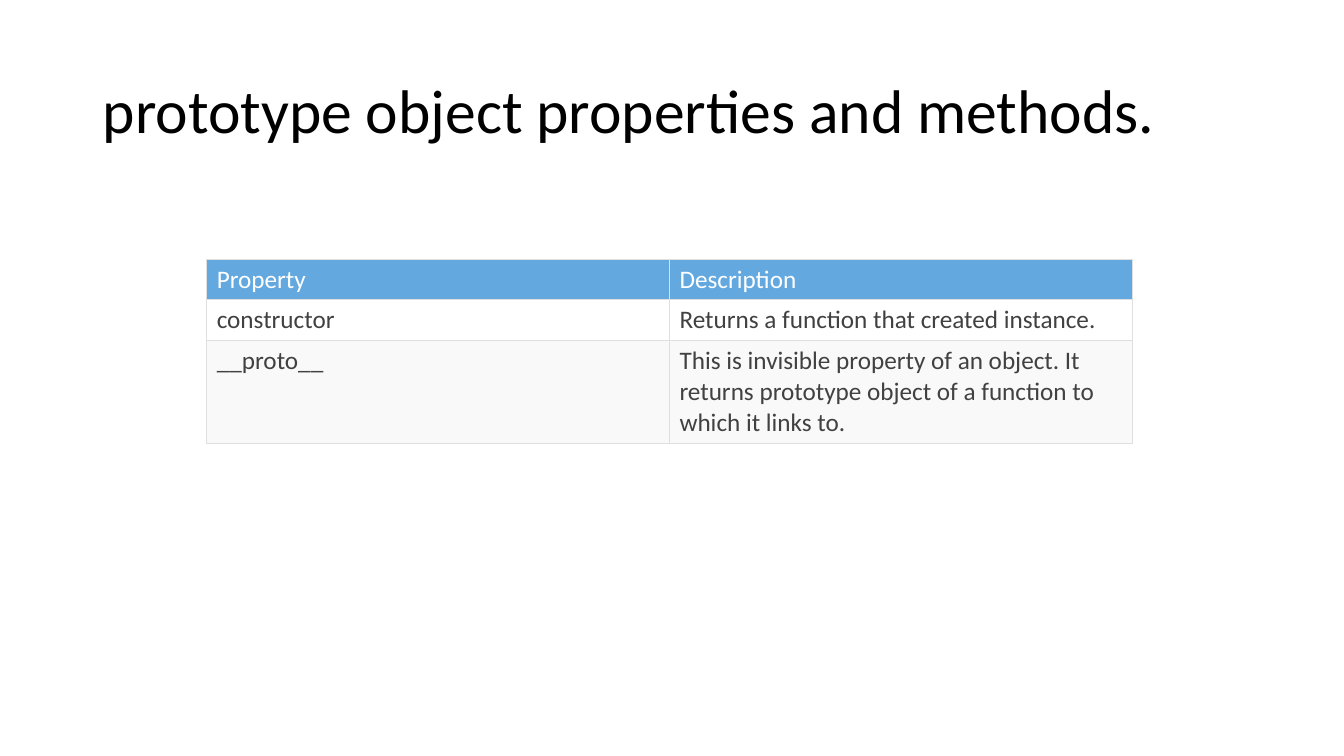
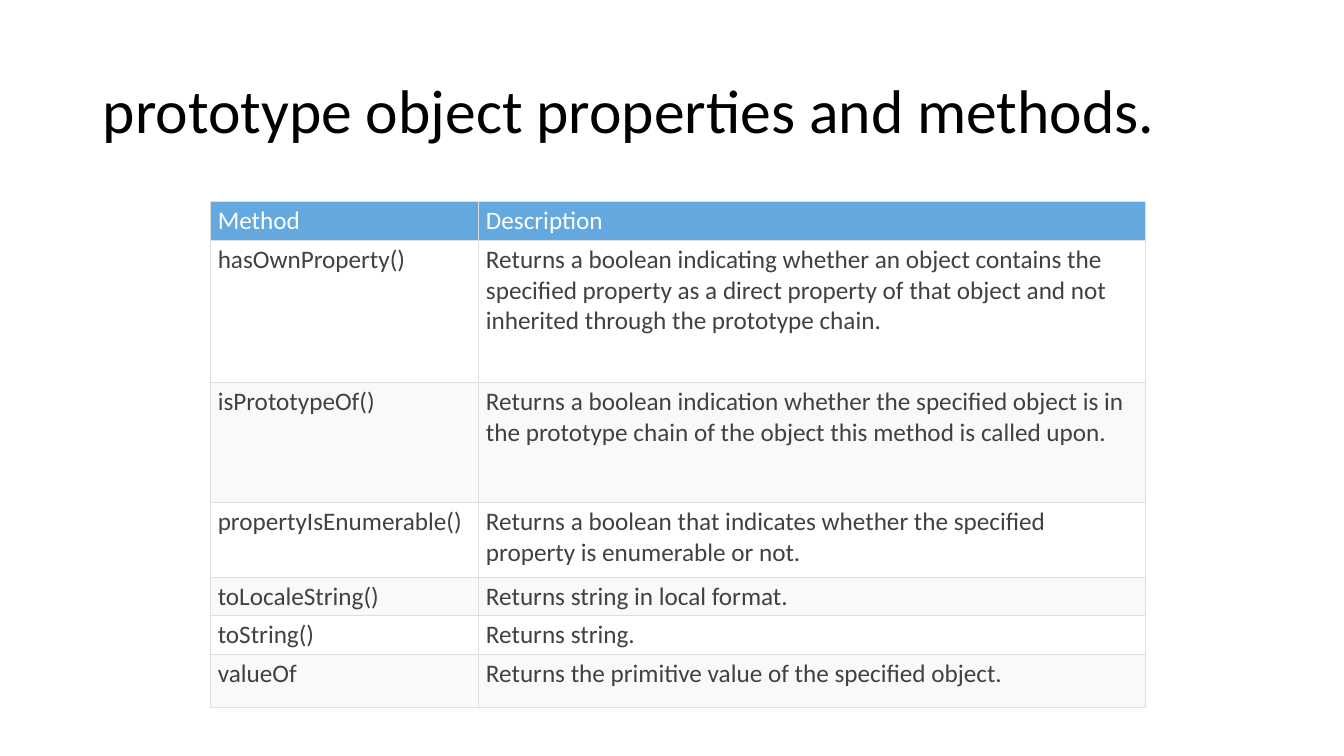
from lxml import etree
from pptx import Presentation
from pptx.dml.color import RGBColor
from pptx.enum.text import MSO_ANCHOR, MSO_AUTO_SIZE, PP_ALIGN
from pptx.oxml.ns import qn
from pptx.util import Inches, Pt

TOP, MIDDLE, BOTTOM = MSO_ANCHOR.TOP, MSO_ANCHOR.MIDDLE, MSO_ANCHOR.BOTTOM
LEFT, NO_FIT = PP_ALIGN.LEFT, MSO_AUTO_SIZE.NONE

BLACK = RGBColor(0x00, 0x00, 0x00)
WHITE = RGBColor(0xFF, 0xFF, 0xFF)
BLUE = RGBColor(0x63, 0xA9, 0xE0)
GRAY = RGBColor(0x41, 0x41, 0x41)
PALE = RGBColor(0xF9, 0xF9, 0xF9)
RULE = RGBColor(0xDF, 0xDF, 0xDF)

FACE = "Calibri"
TITLE = "prototype object properties and methods."
FRAME = {"left": 0.92, "top": 0.4, "width": 11.5, "height": 1.45}

# One entry per slide: table place, grid, cell margins and text
TABLES = [
    {
        "at": (2.05, 2.57),
        "cols": (4.59, 4.59),
        "rows": (0.4, 0.4, 1.02),
        "pad": (0.1, 0.05),
        "text": [
            ("Property", "Description"),
            ("constructor", "Returns a function that created instance."),
            ("__proto__",
             "This is invisible property of an object. It returns prototype "
             "object of a function to which it links to."),
        ],
    },
    {
        "at": (2.09, 2),
        "cols": (2.66, 6.61),
        "rows": (0.38, 1.41, 1.19, 0.74, 0.38, 0.38, 0.52),
        "pad": (0.07, 0.04),
        "text": [
            ("Method", "Description"),
            ("hasOwnProperty()",
             "Returns a boolean indicating whether an object contains the "
             "specified property as a direct property of that object and not "
             "inherited through the prototype chain."),
            ("isPrototypeOf()",
             "Returns a boolean indication whether the specified object is in "
             "the prototype chain of the object this method is called upon."),
            ("propertyIsEnumerable()",
             "Returns a boolean that indicates whether the specified property "
             "is enumerable or not."),
            ("toLocaleString()", "Returns string in local format."),
            ("toString()", "Returns string."),
            ("valueOf", "Returns the primitive value of the specified object."),
        ],
    },
]


def style(para, size, color):
    para.alignment = LEFT
    font = para.runs[0].font
    for name, value in {"name": FACE, "size": Pt(size), "bold": False}.items():
        setattr(font, name, value)
    font.color.rgb = color


def border(cell):
    props = cell._tc.get_or_add_tcPr()
    for spot, side in enumerate(("lnL", "lnR", "lnT", "lnB")):
        line = etree.Element(qn(f"a:{side}"), w=str(Pt(0.75)))
        fill = etree.SubElement(line, qn("a:solidFill"))
        etree.SubElement(fill, qn("a:srgbClr"), val=str(RULE))
        props.insert(spot, line)


deck = Presentation()
deck.slide_width, deck.slide_height = Inches(13.33), Inches(7.5)

for spec_row in TABLES:
    slide = deck.slides.add_slide(deck.slide_layouts[5])

    # Title
    title = slide.shapes.title
    for name, value in FRAME.items():
        setattr(title, name, Inches(value))
    frame = title.text_frame
    frame.text = TITLE
    for name, value in {"vertical_anchor": MIDDLE, "word_wrap": True,
                        "auto_size": NO_FIT}.items():
        setattr(frame, name, value)
    frame.paragraphs[0].line_spacing = 0.9
    style(frame.paragraphs[0], 44, BLACK)

    # Table grid
    cols, rows = spec_row["cols"], spec_row["rows"]
    box = (*spec_row["at"], sum(cols), sum(rows))
    table = slide.shapes.add_table(
        len(rows), len(cols), *(Inches(n) for n in box)).table
    for col, width in zip(table.columns, cols):
        col.width = Inches(width)
    for row, height in zip(table.rows, rows):
        row.height = Inches(height)

    # Header row, then white and pale rows in turn
    side, edge = (Inches(n) for n in spec_row["pad"])
    for r, line in enumerate(spec_row["text"]):
        head = r == 0
        back = BLUE if head else (PALE, WHITE)[r % 2]
        for c, words in enumerate(line):
            cell = table.cell(r, c)
            cell.text = words
            look = {"margin_left": side, "margin_right": side,
                    "margin_top": edge, "margin_bottom": edge,
                    "vertical_anchor": BOTTOM if head else TOP}
            for name, value in look.items():
                setattr(cell, name, value)
            cell.fill.solid()
            cell.fill.fore_color.rgb = back
            border(cell)
            style(cell.text_frame.paragraphs[0], 18, WHITE if head else GRAY)

deck.save("out.pptx")
